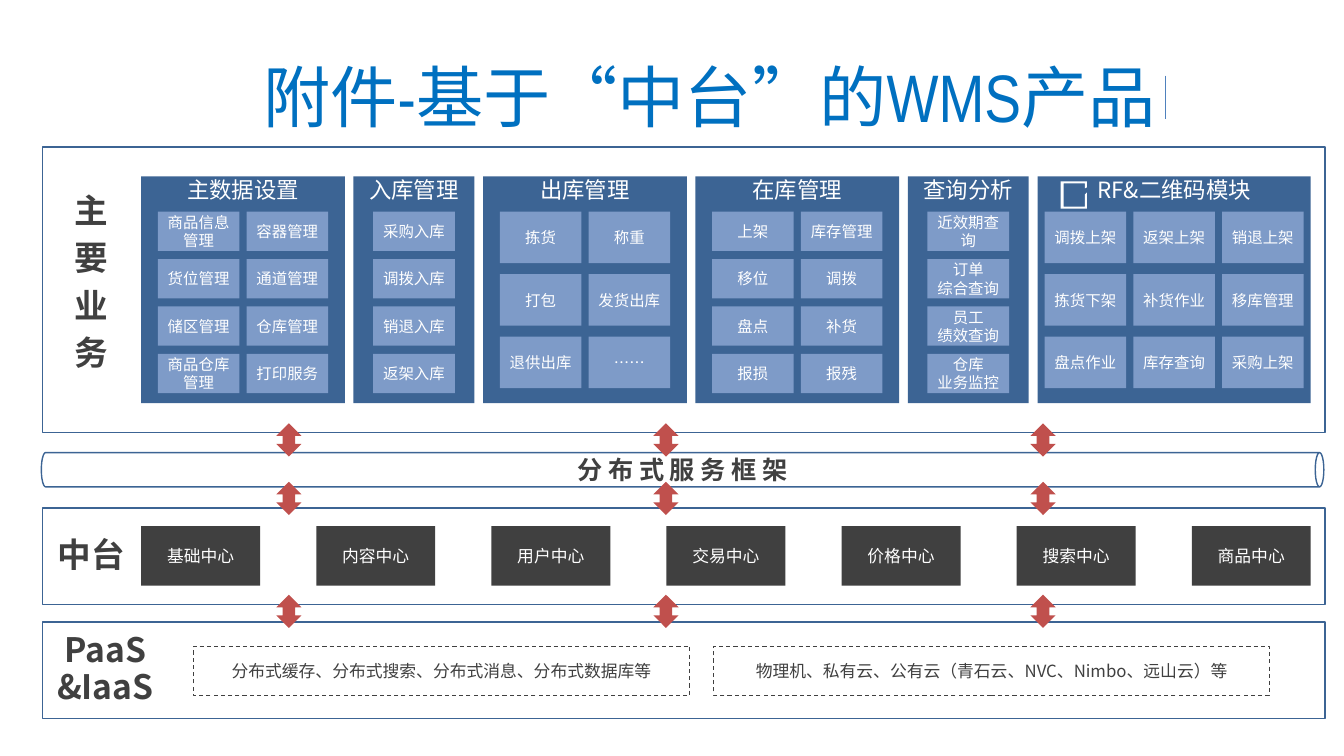
import pptx
import pptx.util
import pptx.dml.color
import pptx.enum.dml
import pptx.enum.shapes
import pptx.enum.text
import pptx.oxml.ns
import lxml.etree

RGBColor = pptx.dml.color.RGBColor
Inches = pptx.util.Inches
Pt = pptx.util.Pt
SHAPE = pptx.enum.shapes.MSO_SHAPE
ALIGN = pptx.enum.text.PP_ALIGN
ANCHOR = pptx.enum.text.MSO_ANCHOR

TITLE_BLUE = RGBColor(0x00, 0x70, 0xC0)
RULE_BLUE = RGBColor(0x4F, 0x81, 0xBD)
PANEL_BLUE = RGBColor(0x3C, 0x64, 0x94)
CELL_BLUE = RGBColor(0x7E, 0x9B, 0xC8)
DARK = RGBColor(0x40, 0x40, 0x40)
RED = RGBColor(0xC0, 0x50, 0x4D)
WHITE = RGBColor(0xFF, 0xFF, 0xFF)
BODY_FONT = "Noto Sans CJK SC"
TITLE_FONT = "Arial Narrow"

TITLE = "附件-基于“中台”的WMS产品"
FRAMEWORK = "分 布 式 服 务 框 架"
# heading, number of columns, cells row by row
MODULES = [
    ("主数据设置", 2, ["商品信息管理", "容器管理", "货位管理", "通道管理",
                  "储区管理", "仓库管理", "商品仓库管理", "打印服务"]),
    ("入库管理", 1, ["采购入库", "调拨入库", "销退入库", "返架入库"]),
    ("出库管理", 2, ["拣货", "称重", "打包", "发货出库", "退供出库", "……"]),
    ("在库管理", 2, ["上架", "库存管理", "移位", "调拨", "盘点", "补货", "报损", "报残"]),
    ("查询分析", 1, ["近效期查询", "订单\n综合查询", "员工\n绩效查询", "仓库\n业务监控"]),
    ("RF&二维码模块", 3, ["调拨上架", "返架上架", "销退上架", "拣货下架", "补货作业",
                     "移库管理", "盘点作业", "库存查询", "采购上架"]),
]
CENTERS = ["基础中心", "内容中心", "用户中心", "交易中心", "价格中心", "搜索中心", "商品中心"]
# left, width, text
RESOURCES = [
    (1.92, 4.92, "分布式缓存、分布式搜索、分布式消息、分布式数据库等"),
    (7.08, 5.51, "物理机、私有云、公有云（青石云、NVC、Nimbo、远山云）等"),
]
# left, top, height, text
LAYER_LABELS = [
    (0.28, 1.88, 1.98, "主\n要\n业\n务"),
    (0.28, 5.29, 0.46, "中台"),
    (0.42, 6.24, 0.83, "PaaS\v&IaaS"),
]
LAYERS = [(1.46, 2.83), (5.04, 0.96), (6.17, 0.96)]  # top, height
LAYER_LEFT, LAYER_WIDTH = 0.42, 12.72
CONTENT_LEFT, CONTENT_RIGHT = 1.4, 13.0
PANEL_TOP, PANEL_HEIGHT = 1.75, 2.25
PANEL_WIDTHS = {1: 1.2, 2: 2.02, 3: 2.71}
CELL_WIDTH, CELL_PITCH, CELL_TOP = 0.81, 0.88, 2.1
ROW_SIZES = {3: (0.62, 0.51), 4: (0.47, 0.39)}  # row count: pitch, height
CENTER_WIDTH = 1.18
ARROW_LEFTS, ARROW_TOPS = [2.74, 6.48, 10.22], [4.2, 4.78, 5.9]
ICON_OUTLINE = [(10.76, 2.05), (10.55, 2.05), (10.55, 1.82), (10.76, 1.82),
                (10.76, 1.87), (10.78, 1.86), (10.78, 1.8), (10.52, 1.8),
                (10.52, 2.07), (10.78, 2.07), (10.78, 1.91), (10.76, 1.93)]


def write(shape, text, size, color, anchor=ANCHOR.MIDDLE, align=ALIGN.CENTER,
          face=BODY_FONT, bold=False, inset=None, wrap=True):
    """Fill a shape with text, one paragraph per line."""
    frame = shape.text_frame
    frame.word_wrap = wrap
    frame.vertical_anchor = anchor
    if inset is not None:
        frame.margin_left = frame.margin_right = Inches(inset)
        frame.margin_top = frame.margin_bottom = Inches(inset)
    frame.text = text
    for para in frame.paragraphs:
        para.alignment = align
        font = para.font
        font.name, font.size, font.bold = face, Pt(size), bold
        font.color.rgb = color
        defaults = para._p.pPr.find(pptx.oxml.ns.qn("a:defRPr"))
        lxml.etree.SubElement(defaults, pptx.oxml.ns.qn("a:ea"), typeface=BODY_FONT)


def add_box(slide, left, top, width, height, fill=None, line=None,
            weight=1, kind=SHAPE.RECTANGLE):
    box = slide.shapes.add_shape(kind, Inches(left), Inches(top),
                                 Inches(width), Inches(height))
    style(box, fill, line, weight)
    return box


def style(box, fill, line=None, weight=1):
    box.shadow.inherit = False
    if fill is None:
        box.fill.background()
    else:
        box.fill.solid()
        box.fill.fore_color.rgb = fill
    if line is None:
        box.line.fill.background()
    else:
        box.line.color.rgb = line
        box.line.width = Pt(weight)


def add_text(slide, left, top, width, height, text, size, color, **options):
    box = slide.shapes.add_textbox(Inches(left), Inches(top),
                                   Inches(width), Inches(height))
    write(box, text, size, color, **options)
    return box


def add_title(slide):
    add_text(slide, 0.67, 0.64, 10.89, 0.62, TITLE, 48, TITLE_BLUE,
             align=ALIGN.RIGHT, face=TITLE_FONT)
    rule = slide.shapes.add_connector(
        pptx.enum.shapes.MSO_CONNECTOR.STRAIGHT,
        Inches(11.56), Inches(0.75), Inches(11.56), Inches(1.18))
    rule.line.color.rgb = RULE_BLUE
    rule.line.width = Pt(0.5)
    lxml.etree.SubElement(rule._element.spPr, pptx.oxml.ns.qn("a:effectLst"))


def add_layers(slide):
    for top, height in LAYERS:
        add_box(slide, LAYER_LEFT, top, LAYER_WIDTH, height, line=PANEL_BLUE)
    pipe = add_box(slide, 6.6, -1.7, 0.34, LAYER_WIDTH, line=PANEL_BLUE, kind=SHAPE.CAN)
    pipe.rotation = 90
    add_text(slide, 5.56, 4.46, 2.42, 0.4, FRAMEWORK, 18, DARK,
             anchor=ANCHOR.TOP, bold=True, wrap=False)
    for left, top, height, text in LAYER_LABELS:
        label = add_text(slide, left, top, 1.25, height, text, 24, DARK,
                         anchor=ANCHOR.TOP, bold=True)
        for para in label.text_frame.paragraphs:
            para.line_spacing = 0.9
            para.space_after = Pt(8)


def add_modules(slide):
    widths = [PANEL_WIDTHS[columns] for _, columns, _ in MODULES]
    gap = (CONTENT_RIGHT - CONTENT_LEFT - sum(widths)) / (len(widths) - 1)
    left = CONTENT_LEFT
    for (heading, columns, cells), width in zip(MODULES, widths):
        panel = add_box(slide, left, PANEL_TOP, width, PANEL_HEIGHT, PANEL_BLUE)
        write(panel, heading, 16, WHITE, anchor=ANCHOR.TOP, inset=0)
        grid_width = CELL_PITCH * (columns - 1) + CELL_WIDTH
        grid_left = left + (width - grid_width) / 2
        pitch, height = ROW_SIZES[len(cells) // columns]
        for index, text in enumerate(cells):
            row, column = divmod(index, columns)
            cell = add_box(slide, grid_left + column * CELL_PITCH,
                           CELL_TOP + row * pitch, CELL_WIDTH, height, CELL_BLUE)
            write(cell, text, 11, WHITE)
        left += width + gap


def add_icon(slide):
    points = [(Inches(x), Inches(y)) for x, y in ICON_OUTLINE]
    builder = slide.shapes.build_freeform(*points[0])
    builder.add_line_segments(points[1:], close=True)
    style(builder.convert_to_shape(), WHITE)


def add_platform(slide):
    pitch = (CONTENT_RIGHT - CONTENT_LEFT - CENTER_WIDTH) / (len(CENTERS) - 1)
    for index, text in enumerate(CENTERS):
        center = add_box(slide, CONTENT_LEFT + index * pitch, 5.22,
                         CENTER_WIDTH, 0.59, DARK)
        write(center, text, 12, WHITE, inset=0)
    for left, width, text in RESOURCES:
        resource = add_box(slide, left, 6.41, width, 0.49, line=DARK, weight=0.75)
        resource.line.dash_style = pptx.enum.dml.MSO_LINE.DASH
        write(resource, text, 12, DARK)
    for top in ARROW_TOPS:
        for left in ARROW_LEFTS:
            add_box(slide, left, top, 0.25, 0.33, RED, kind=SHAPE.UP_DOWN_ARROW)


def main():
    deck = pptx.Presentation()
    deck.slide_width, deck.slide_height = Inches(13.33), Inches(7.5)
    page = deck.slides.add_slide(deck.slide_layouts[6])
    add_title(page)
    add_layers(page)
    add_modules(page)
    add_icon(page)
    add_platform(page)
    deck.save("out.pptx")


if __name__ == "__main__":
    main()
